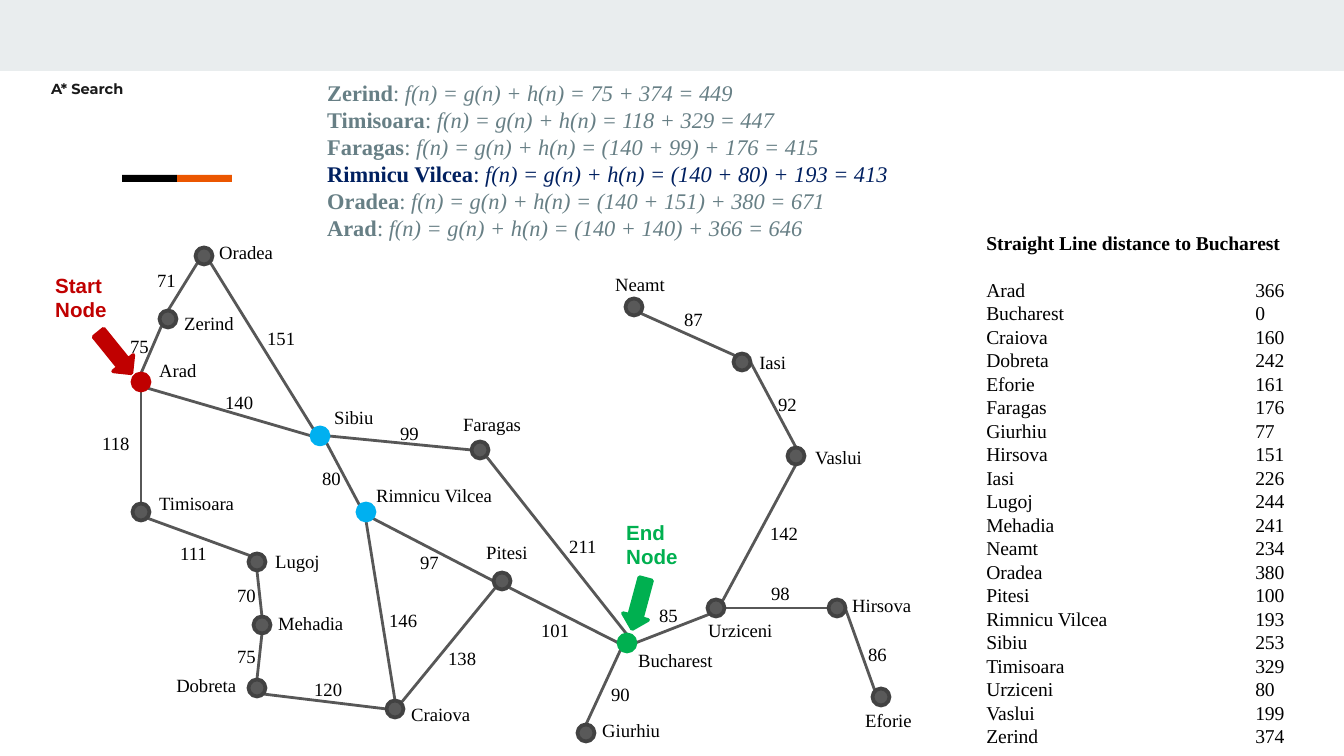
from lxml.etree import SubElement
from pptx import Presentation
from pptx.dml.color import RGBColor
from pptx.enum.shapes import MSO_CONNECTOR, MSO_SHAPE
from pptx.enum.text import MSO_AUTO_SIZE
from pptx.oxml.ns import qn
from pptx.util import Pt

SCALE = 9144000 / 1344
SERIF, SANS, HEADING = "Times New Roman", "Arial", "Montserrat"

BAND = RGBColor(0xE9, 0xED, 0xEE)
ORANGE = RGBColor(0xEB, 0x56, 0x00)
BLACK = RGBColor(0, 0, 0)
INK = RGBColor(0x1A, 0x1A, 0x1A)
NODE_FILL = RGBColor(0x59, 0x59, 0x59)
NODE_LINE = RGBColor(0x42, 0x42, 0x42)
ROAD = RGBColor(0x57, 0x57, 0x57)
VISITED = RGBColor(0x00, 0xB0, 0xF0)
START = RGBColor(0xC0, 0x00, 0x00)
END = RGBColor(0x00, 0xB0, 0x50)
MUTED = RGBColor(0x67, 0x7F, 0x85)
CHOSEN = RGBColor(0x00, 0x20, 0x60)

NODE_SIZE = 17
NODE_COLOURS = {"Arad": START, "Bucharest": END, "Sibiu": VISITED, "Rimnicu Vilcea": VISITED}

# City: node centre, label left, top and width
CITIES = {
    "Oradea": (204, 256, 206, 234, 310),
    "Zerind": (168, 319, 171, 305, 95),
    "Sibiu": (320, 436, 321, 399, 82),
    "Timisoara": (141, 512, 146, 485, 310),
    "Lugoj": (257, 562, 262, 543, 83),
    "Rimnicu Vilcea": (366, 512, 363, 477, 181),
    "Faragas": (480, 450, 450, 406, 91),
    "Mehadia": (262, 625, 265, 605, 105),
    "Dobreta": (257, 688, 163, 667, 108),
    "Neamt": (634, 307, 602, 266, 310),
    "Pitesi": (502, 581, 473, 534, 83),
    "Craiova": (395, 709, 398, 696, 112),
    "Iasi": (742, 362, 746, 344, 66),
    "Urziceni": (716, 608, 695, 612, 108),
    "Vaslui": (796, 456, 802, 439, 110),
    "Eforie": (881, 697, 852, 702, 93),
    "Giurhiu": (586, 733, 589, 712, 92),
    "Hirsova": (837, 608, 839, 587, 108),
    "Arad": (141, 382, 146, 352, 83),
    "Bucharest": (627, 643, 625, 642, 310),
}

# Direction of each attachment point on a node's rim
RIM = {"N": (0, -1), "S": (0, 1), "W": (-1, 0), "E": (1, 0),
       "NW": (-0.71, -0.71), "NE": (0.71, -0.71), "SW": (-0.71, 0.71), "SE": (0.71, 0.71)}

# City and rim at both ends, distance, label left, top and width
ROADS = [
    ("Oradea", "SW", "Zerind", "N", 71, 144, 262, 58),
    ("Zerind", "SW", "Arad", "N", 75, 117, 328, 58),
    ("Arad", "S", "Timisoara", "N", 118, 89, 425, 69),
    ("Oradea", "SE", "Sibiu", "NW", 151, 254, 320, 70),
    ("Timisoara", "SE", "Lugoj", "NW", 111, 167, 535, 58),
    ("Lugoj", "S", "Mehadia", "N", 70, 224, 577, 58),
    ("Mehadia", "S", "Dobreta", "N", 75, 224, 638, 58),
    ("Dobreta", "SE", "Craiova", "W", 120, 301, 671, 58),
    ("Craiova", "N", "Rimnicu Vilcea", "S", 146, 376, 602, 58),
    ("Arad", "SE", "Sibiu", "W", 140, 212, 384, 58),
    ("Sibiu", "SE", "Rimnicu Vilcea", "NW", 80, 309, 460, 58),
    ("Sibiu", "E", "Faragas", "W", 99, 387, 415, 58),
    ("Faragas", "SE", "Bucharest", "N", 211, 556, 528, 75),
    ("Rimnicu Vilcea", "SE", "Pitesi", "W", 97, 407, 544, 58),
    ("Pitesi", "SW", "Craiova", "NE", 138, 435, 640, 58),
    ("Bucharest", "W", "Pitesi", "SE", 101, 528, 612, 58),
    ("Bucharest", "SW", "Giurhiu", "N", 90, 598, 676, 58),
    ("Bucharest", "E", "Urziceni", "SW", 85, 646, 597, 58),
    ("Urziceni", "E", "Hirsova", "W", 98, 758, 575, 58),
    ("Hirsova", "NE", "Eforie", "NW", 86, 855, 636, 58),
    ("Vaslui", "S", "Urziceni", "NE", 142, 757, 515, 71),
    ("Vaslui", "N", "Iasi", "E", 92, 765, 386, 58),
    ("Neamt", "SE", "Iasi", "NW", 87, 671, 301, 58),
]

STRAIGHT_LINE = {
    "Arad": 366, "Bucharest": 0, "Craiova": 160, "Dobreta": 242, "Eforie": 161,
    "Faragas": 176, "Giurhiu": 77, "Hirsova": 151, "Iasi": 226, "Lugoj": 244,
    "Mehadia": 241, "Neamt": 234, "Oradea": 380, "Pitesi": 100, "Rimnicu Vilcea": 193,
    "Sibiu": 253, "Timisoara": 329, "Urziceni": 80, "Vaslui": 199, "Zerind": 374,
}

ESTIMATES = [
    ("Zerind", "75 + 374 = 449"),
    ("Timisoara", "118 + 329 = 447"),
    ("Faragas", "(140 + 99) + 176 = 415"),
    ("Rimnicu Vilcea", "(140 + 80) + 193 = 413"),
    ("Oradea", "(140 + 151) + 380 = 671"),
    ("Arad", "(140 + 140) + 366 = 646"),
]


def px(*lengths):
    return [round(length * SCALE) for length in lengths]


def add_filled(slide, preset, box, fill, line=None, rotation=0):
    shape = slide.shapes.add_shape(preset, *px(*box))
    shape.shadow.inherit = False
    shape.rotation = rotation
    shape.fill.solid()
    shape.fill.fore_color.rgb = fill
    if line is None:
        shape.line.fill.background()
    else:
        shape.line.color.rgb = line
        shape.line.width = Pt(2)


def add_text(slide, box, paragraphs, size, font=SERIF, grow=True):
    """Each paragraph is a list of (text, colour, bold, italic) runs."""
    frame = slide.shapes.add_textbox(*px(*box)).text_frame
    frame.word_wrap = True
    if grow:
        frame.auto_size = MSO_AUTO_SIZE.SHAPE_TO_FIT_TEXT
    for number, runs in enumerate(paragraphs):
        paragraph = frame.paragraphs[0] if number == 0 else frame.add_paragraph()
        for text, colour, bold, italic in runs:
            run = paragraph.add_run()
            run.text = text
            run.font.name = font
            run.font.size = Pt(size)
            run.font.bold = bold
            run.font.italic = italic
            run.font.color.rgb = colour
    return frame


def add_label(slide, text, left, top, width):
    add_text(slide, (left, top, width, 35), [[(text, BLACK, False, False)]], 10)


def rim_point(city, side):
    x, y = CITIES[city][:2]
    dx, dy = RIM[side]
    return px(x + dx * NODE_SIZE / 2, y + dy * NODE_SIZE / 2)


def add_road(slide, origin, target):
    road = slide.shapes.add_connector(MSO_CONNECTOR.STRAIGHT, *origin, *target)
    road.line.color.rgb = ROAD
    road.line.width = Pt(1.5)
    SubElement(road._element.spPr, qn("a:effectLst"))


def add_city(slide, city, x, y):
    fill = NODE_COLOURS.get(city, NODE_FILL)
    box = (x - NODE_SIZE / 2, y - NODE_SIZE / 2, NODE_SIZE, NODE_SIZE)
    add_filled(slide, MSO_SHAPE.OVAL, box, fill, NODE_COLOURS.get(city, NODE_LINE))


def add_pointer(slide, word, colour, text_at, arrow_at, rotation):
    add_filled(slide, MSO_SHAPE.LEFT_ARROW, (*arrow_at, 52, 26), colour, colour, rotation)
    lines = [[(text, colour, True, False)] for text in (word, "Node")]
    add_text(slide, (*text_at, 98, 62), lines, 11, SANS)


def add_distance_list(slide):
    rows = [[("Straight Line distance to Bucharest", BLACK, True, False)]]
    rows += [[(f"{city}\t{value}", BLACK, False, False)] for city, value in STRAIGHT_LINE.items()]
    frame = add_text(slide, (973, 224, 388, 517), rows, 10.5)
    frame.paragraphs[0].space_after = Pt(12.6)
    for paragraph in frame.paragraphs[1:]:
        stops = SubElement(paragraph._p.get_or_add_pPr(), qn("a:tabLst"))
        SubElement(stops, qn("a:tab"), pos=str(px(269)[0]), algn="l")


def add_estimates(slide):
    lines = []
    for city, total in ESTIMATES:
        colour = CHOSEN if city == "Rimnicu Vilcea" else MUTED
        lines.append([(city, colour, True, False), (": ", colour, False, False),
                      (f"f(n) = g(n) + h(n) = {total}", colour, False, True)])
    add_text(slide, (314, 73, 680, 202), lines, 12)


def main():
    deck = Presentation()
    deck.slide_width, deck.slide_height = px(1344, 756)
    slide = deck.slides.add_slide(deck.slide_layouts[6])

    # Header band, accent bars and title
    for box, fill in (((0, 0, 1344, 71), BAND), ((177, 175, 55, 7), ORANGE),
                      ((122, 175, 55, 7), BLACK)):
        add_filled(slide, MSO_SHAPE.RECTANGLE, box, fill)
    title = add_text(slide, (38, 71, 241, 79), [[("A* Search", INK, True, False)]],
                     7.8, HEADING, grow=False)
    title.margin_top, title.margin_bottom = px(13, 13)

    # Road map
    for origin, origin_side, target, target_side, *_ in ROADS:
        add_road(slide, rim_point(origin, origin_side), rim_point(target, target_side))
    for city, (x, y, *label_box) in CITIES.items():
        add_city(slide, city, x, y)
        add_label(slide, city, *label_box)
    for *_, distance, left, top, width in ROADS:
        add_label(slide, str(distance), left, top, width)

    # Start and end markers
    add_pointer(slide, "Start", START, (42, 266), (89, 340), 231)
    add_pointer(slide, "End", END, (613, 513), (613, 591), 285.1)

    # Heuristic values and path estimates
    add_distance_list(slide)
    add_estimates(slide)

    deck.save("out.pptx")


main()
